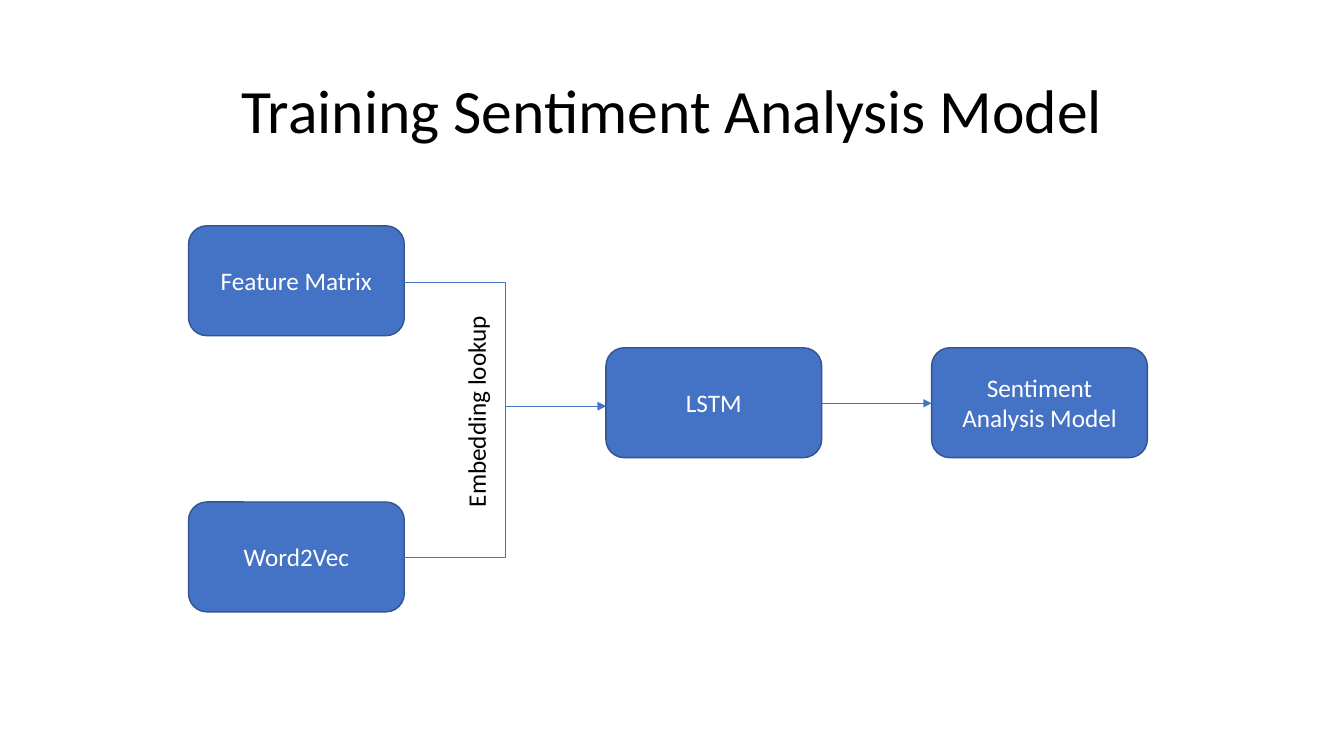
from lxml import etree
from pptx import Presentation
from pptx.dml.color import RGBColor
from pptx.enum.shapes import MSO_CONNECTOR, MSO_SHAPE
from pptx.enum.text import MSO_ANCHOR, MSO_AUTO_SIZE, PP_ALIGN
from pptx.oxml.ns import qn
from pptx.util import Inches, Pt

ELBOW = MSO_CONNECTOR.ELBOW
STRAIGHT = MSO_CONNECTOR.STRAIGHT
ROUNDED = MSO_SHAPE.ROUNDED_RECTANGLE
MIDDLE = MSO_ANCHOR.MIDDLE
CENTER = PP_ALIGN.CENTER
LEFT = PP_ALIGN.LEFT

FONT = "Calibri"
BLUE, DARK_BLUE, WHITE, BLACK = "4472C4", "325491", "FFFFFF", "000000"
BOX_W, BOX_H = 2.14, 1.09
INPUT_X, LSTM_X, MODEL_X = 1.87, 6.01, 9.24
FEATURE_Y, MIDDLE_Y, WORD2VEC_Y = 2.24, 3.45, 4.98


def rgb(value):
    return RGBColor.from_string(value)


def write(tf, text, size, color, align):
    p = tf.paragraphs[0]
    p.alignment = align
    r = p.add_run()
    r.text = text
    r.font.name = FONT
    r.font.size = Pt(size)
    r.font.color.rgb = rgb(color)
    return p


def add_title(slide, text):
    sp = slide.shapes.title
    sp.left, sp.top = Inches(0.92), Inches(0.4)
    sp.width, sp.height = Inches(11.5), Inches(1.45)
    tf = sp.text_frame
    tf.vertical_anchor = MIDDLE
    p = write(tf, text, 44, BLACK, CENTER)
    p.line_spacing = 0.9


def add_box(slide, text, x, y):
    sp = slide.shapes.add_shape(ROUNDED, Inches(x), Inches(y), Inches(BOX_W), Inches(BOX_H))
    sp.shadow.inherit = False
    sp.fill.solid()
    sp.fill.fore_color.rgb = rgb(BLUE)
    sp.line.color.rgb = rgb(DARK_BLUE)
    sp.line.width = Pt(1)
    tf = sp.text_frame
    tf.word_wrap = True
    tf.vertical_anchor = MIDDLE
    write(tf, text, 18, WHITE, CENTER)


def add_arrow(slide, kind, x1, y1, x2, y2):
    cn = slide.shapes.add_connector(kind, Inches(x1), Inches(y1), Inches(x2), Inches(y2))
    cn.line.color.rgb = rgb(BLUE)
    cn.line.width = Pt(0.5)
    etree.SubElement(cn.line._get_or_add_ln(), qn("a:tailEnd"), type="triangle")
    etree.SubElement(cn._element.spPr, qn("a:effectLst"))


def add_vertical_label(slide, text, x, y, w, h):
    sp = slide.shapes.add_textbox(Inches(x), Inches(y), Inches(w), Inches(h))
    sp.rotation = 270
    tf = sp.text_frame
    tf.word_wrap = True
    tf.auto_size = MSO_AUTO_SIZE.SHAPE_TO_FIT_TEXT
    write(tf, text, 18, BLACK, LEFT)


def main():
    prs = Presentation()
    prs.slide_width, prs.slide_height = Inches(13.33), Inches(7.5)
    slide = prs.slides.add_slide(prs.slide_layouts[5])
    add_title(slide, "Training Sentiment Analysis Model")

    for text, x, y in (
        ("Word2Vec", INPUT_X, WORD2VEC_Y),
        ("Feature Matrix", INPUT_X, FEATURE_Y),
        ("LSTM", LSTM_X, MIDDLE_Y),
        ("Sentiment Analysis Model", MODEL_X, MIDDLE_Y),
    ):
        add_box(slide, text, x, y)

    for y in (2.8, 5.53):
        add_arrow(slide, ELBOW, INPUT_X + BOX_W, y, LSTM_X, 4.03)
    add_arrow(slide, STRAIGHT, LSTM_X + BOX_W, 4, MODEL_X, 4)

    add_vertical_label(slide, "Embedding lookup", 3.43, 3.64, 2.58, 0.4)
    prs.save("out.pptx")


main()
